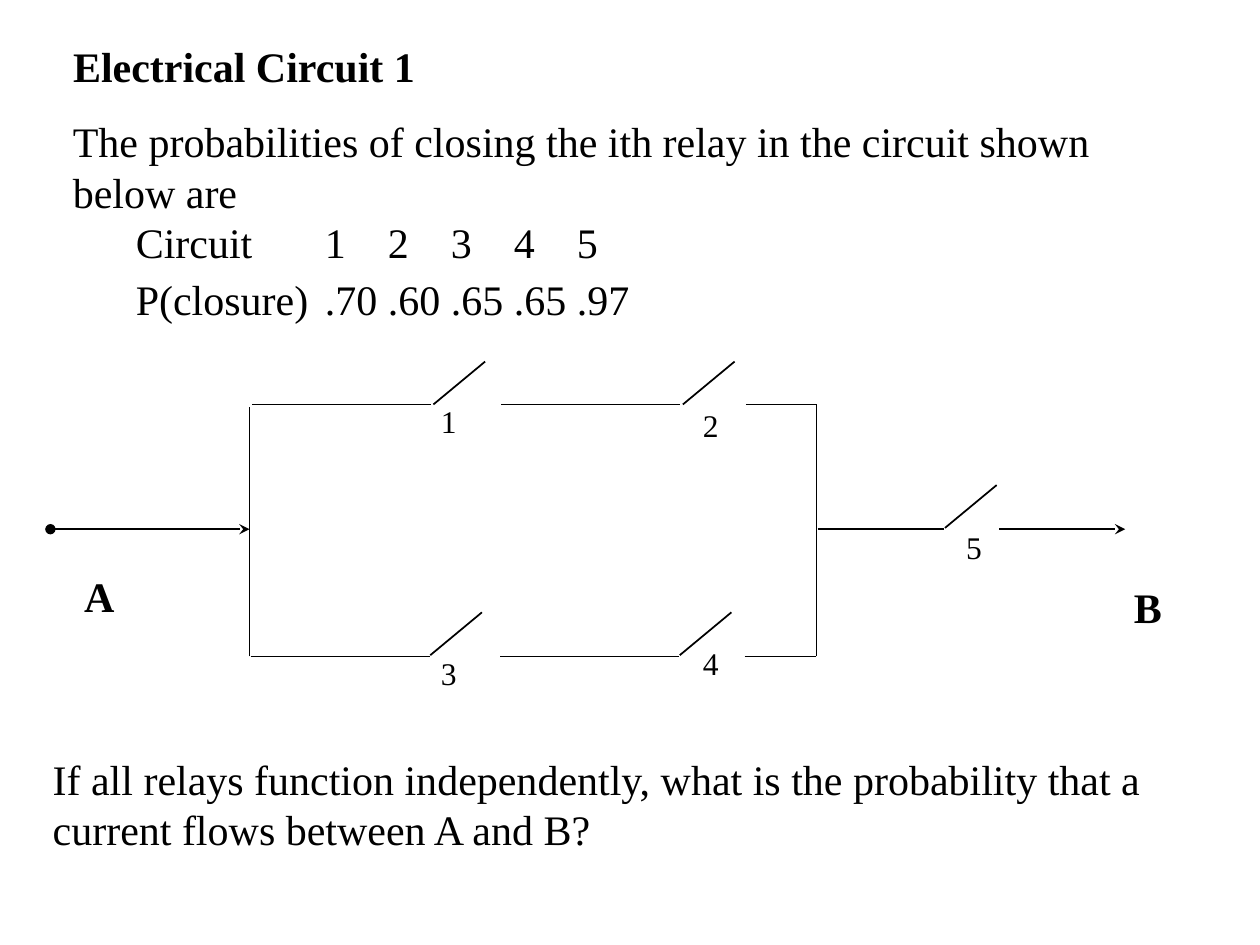
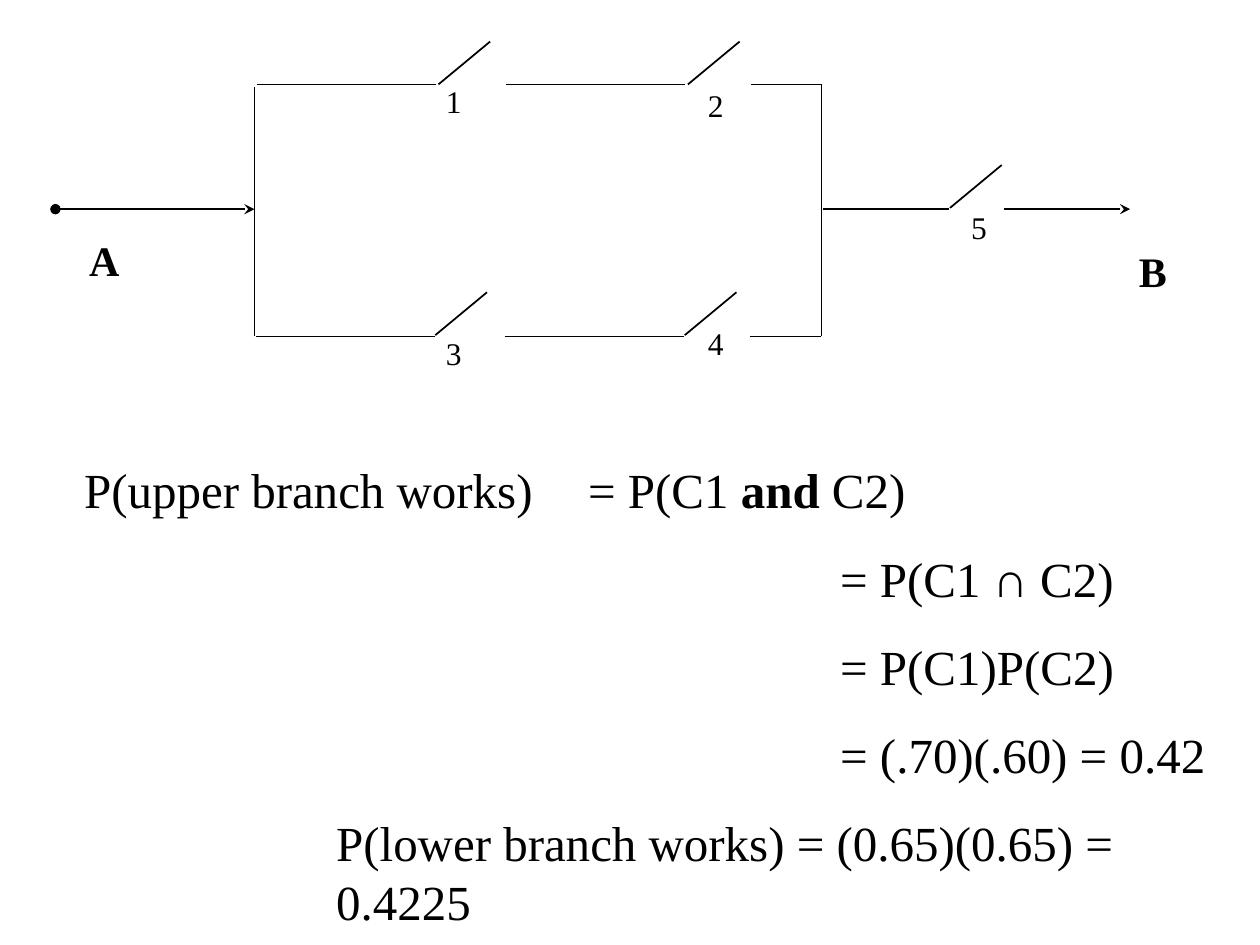
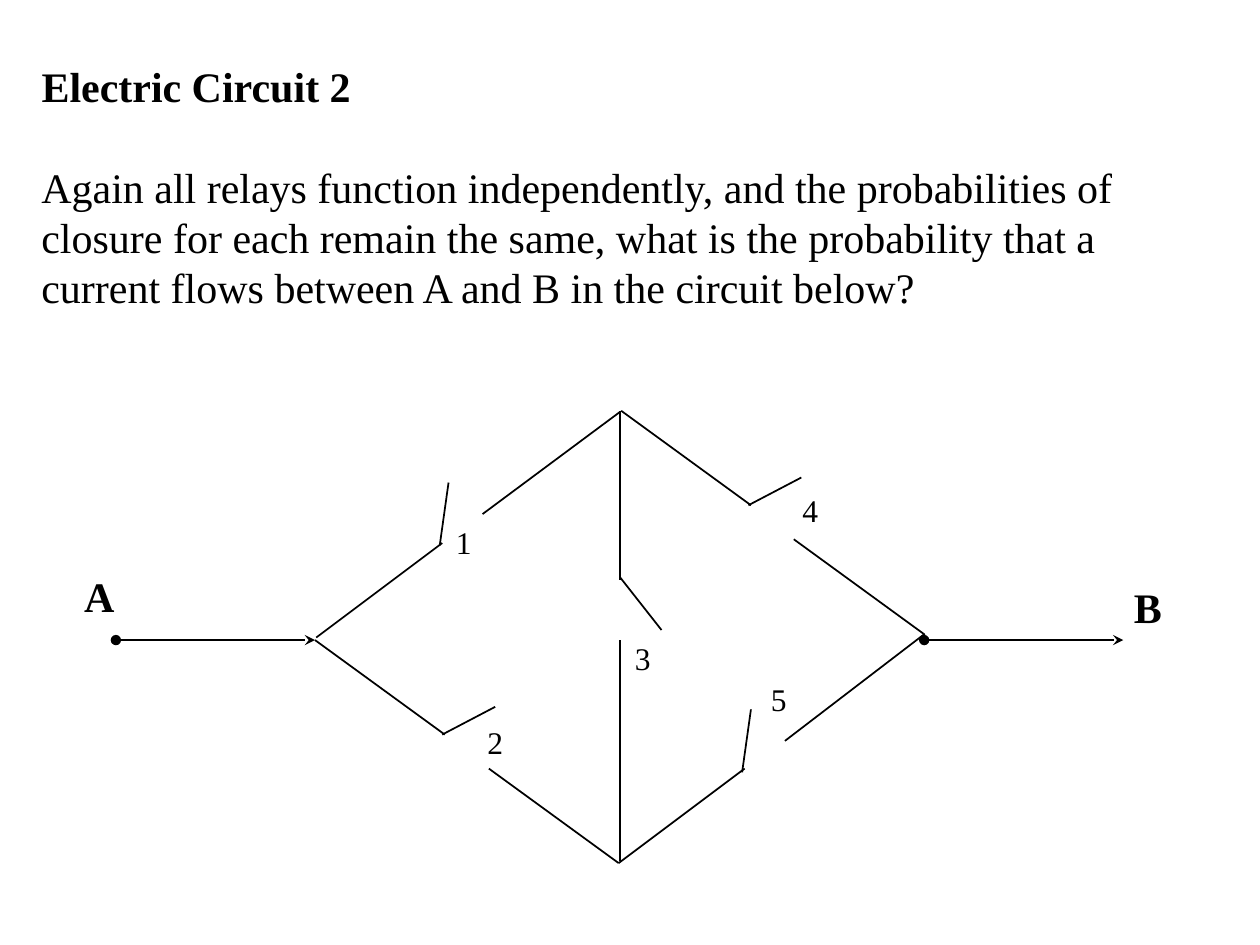
from dataclasses import dataclass
from typing import NamedTuple, Optional

from lxml import etree
from pptx import Presentation
from pptx import util as u
from pptx.dml.color import RGBColor
from pptx.enum import shapes, text
from pptx.oxml.ns import qn

SLIDE_WIDTH, SLIDE_HEIGHT = u.Inches(10), u.Inches(7.5)
COLUMNS, ROWS = 100, 75
TITLE_ONLY, BLANK = 5, 6


@dataclass(frozen=True)
class Theme:
    ink: RGBColor = RGBColor(0, 0, 0)
    paper: RGBColor = RGBColor(255, 255, 255)
    font: str = "Times New Roman"
    symbol_font: str = "Arial"
    body: int = 24
    formula: int = 28
    relay: int = 18
    line: int = 1


THEME = Theme()


class Point(NamedTuple):
    column: float
    row: float

    def shifted(self, step: "Point") -> "Point":
        return Point(self.column + step.column, self.row + step.row)


class Box(NamedTuple):
    column: float
    row: float
    columns: float
    rows: float


class Span(NamedTuple):
    text: str
    bold: bool = False
    font: str = THEME.font


class Line(NamedTuple):
    spans: tuple[Span, ...]
    space_before: float = 0
    indent: float = 0


@dataclass(frozen=True)
class Wire:
    start: Point
    end: Point
    head: Optional[str] = None
    tail: Optional[str] = None


@dataclass(frozen=True)
class Relay:
    name: str
    start: Point
    hinge: Point
    blade_start: Point
    blade: Point
    label: Point


@dataclass(frozen=True)
class Circuit:
    wires: tuple[Wire, ...]
    relays: tuple[Relay, ...]


def across(columns: float) -> int:
    return round(SLIDE_WIDTH * columns / COLUMNS)


def down(rows: float) -> int:
    return round(SLIDE_HEIGHT * rows / ROWS)


def place(shape, box: Box) -> None:
    shape.left, shape.top = across(box.column), down(box.row)
    shape.width, shape.height = across(box.columns), down(box.rows)


def set_indent_and_tabs(paragraph, indent: float) -> None:
    properties = paragraph._p.get_or_add_pPr()
    properties.set("marL", str(across(indent)))
    properties.set("indent", "0")
    tabs = etree.SubElement(properties, qn("a:tabLst"))
    for inch in range(1, 8):
        etree.SubElement(tabs, qn("a:tab"), pos=str(u.Inches(inch)), algn="l")


def format_font(font, size: int, bold: bool, name: str = THEME.font) -> None:
    font.name, font.bold, font.size = name, bold, u.Pt(size)
    font.color.rgb = THEME.ink


def add_text(slide, box: Box, lines: list[Line], size: int, wrap: bool = True):
    shape = slide.shapes.add_textbox(0, 0, 0, 0)
    place(shape, box)
    frame = shape.text_frame
    frame.word_wrap = wrap
    frame.auto_size = text.MSO_AUTO_SIZE.SHAPE_TO_FIT_TEXT
    for index, line in enumerate(lines):
        paragraph = frame.add_paragraph() if index else frame.paragraphs[0]
        set_indent_and_tabs(paragraph, line.indent)
        if line.space_before:
            paragraph.space_before = u.Pt(line.space_before)
        for span in line.spans:
            run = paragraph.add_run()
            run.text = span.text
            format_font(run.font, size, span.bold, span.font)
    return shape


def add_title(slide, title: str, box: Box) -> None:
    shape = slide.shapes.title
    place(shape, box)
    frame = shape.text_frame
    frame.text = title
    frame.word_wrap = True
    frame.auto_size = text.MSO_AUTO_SIZE.NONE
    frame.vertical_anchor = text.MSO_ANCHOR.TOP
    paragraph = frame.paragraphs[0]
    paragraph.alignment = text.PP_ALIGN.LEFT
    format_font(paragraph.runs[0].font, THEME.body, True)


def add_wire(slide, wire: Wire, origin: Point) -> None:
    start, end = wire.start.shifted(origin), wire.end.shifted(origin)
    connector = slide.shapes.add_connector(
        shapes.MSO_CONNECTOR.STRAIGHT,
        across(start.column), down(start.row), across(end.column), down(end.row),
    )
    connector.line.color.rgb = THEME.ink
    connector.line.width = u.Pt(THEME.line)
    outline = connector.line._get_or_add_ln()
    for tag, kind in (("a:headEnd", wire.head), ("a:tailEnd", wire.tail)):
        if kind:
            etree.SubElement(outline, qn(tag), type=kind)
    etree.SubElement(connector._element.spPr, qn("a:effectLst"))


def add_relay(slide, relay: Relay, origin: Point) -> None:
    tip = relay.blade_start.shifted(relay.blade)
    add_wire(slide, Wire(relay.start, relay.hinge), origin)
    add_wire(slide, Wire(relay.blade_start, tip), origin)
    box = Box(*relay.label.shifted(origin), 3.3, 4)
    add_text(slide, box, [Line((Span(relay.name),))], THEME.relay, wrap=False)


def add_circuit(slide, circuit: Circuit, origin: Point = Point(0, 0)) -> None:
    for wire in circuit.wires:
        add_wire(slide, wire, origin)
    for relay in circuit.relays:
        add_relay(slide, relay, origin)


def add_terminals(slide, origin: Point = Point(0, 0)) -> None:
    for name, corner, columns in (("A", Point(5.7, 44.8), 4.4), ("B", Point(89, 45.7), 4.2)):
        box = Box(*corner.shifted(origin), columns, 5)
        add_text(slide, box, [Line((Span(name, True),))], THEME.body, wrap=False)


def add_slide(presentation, layout: int):
    slide = presentation.slides.add_slide(presentation.slide_layouts[layout])
    slide.background.fill.solid()
    slide.background.fill.fore_color.rgb = THEME.paper
    return slide


def parallel_circuit() -> Circuit:
    upper, lower, middle, left, right = 32.1, 52.1, 42, 19.8, 64.8
    blade = Point(4.1, -3.4)

    def branch_relay(name: str, start: float, row: float, gap: Point, label: Point) -> Relay:
        hinge = Point(start + 14.2, row)
        return Relay(name, Point(start, row), hinge, hinge.shifted(gap), blade, label)

    upper_gap, lower_gap = Point(0.2, 0), Point(0.05, -0.1)
    relays = (
        branch_relay("1", 20, upper, upper_gap, Point(34, 31.4)),
        branch_relay("2", 39.8, upper, upper_gap, Point(54.8, 31.7)),
        branch_relay("3", 19.9, lower, lower_gap, Point(34, 51.4)),
        branch_relay("4", 39.7, lower, lower_gap, Point(54.8, 50.6)),
        Relay("5", Point(64.9, middle), Point(74.9, middle), Point(75, 41.9),
              blade, Point(75.7, 41.4)),
    )
    wires = (
        Wire(Point(4, middle), Point(left, middle), "oval", "stealth"),
        Wire(Point(right, lower), Point(right, upper)),
        Wire(Point(left, lower), Point(left, upper + 0.2)),
        Wire(Point(59.2, upper), Point(right, upper)),
        Wire(Point(59.1, lower), Point(right, lower)),
        Wire(Point(79.3, middle), Point(89.3, middle), tail="stealth"),
    )
    return Circuit(wires, relays)


def bridge_circuit() -> Circuit:
    middle, center = 50.8, 49.2
    steep, shallow = Point(0.7, -5), Point(4.2, -2.2)
    relays = (
        Relay("1", Point(25.1, 50.6), Point(35.1, 43.1), Point(34.9, 43.3),
              steep, Point(35.2, 41)),
        Relay("2", Point(25, middle), Point(35.3, 58.3), Point(35.1, 58.3),
              shallow, Point(37.7, 56.9)),
        Relay("3", Point(center, 32.6), Point(center, 46), Point(center, 45.8),
              Point(3.3, 4.2), Point(49.4, 50.2)),
        Relay("4", Point(49.3, 32.6), Point(59.6, 40.1), Point(59.4, 40.1),
              shallow, Point(62.7, 38.5)),
        Relay("5", Point(49.1, 68.5), Point(59.1, 61), Point(58.9, 61.3),
              steep, Point(60.2, 53.5)),
    )
    leads = tuple(
        Wire(Point(column, middle), Point(column + 15.8, middle), "oval", "stealth")
        for column in (9.2, 73.35)
    )
    contacts = (
        Wire(Point(38.3, 40.8), Point(center, 32.7)),
        Wire(Point(38.8, 61), Point(49.1, 68.5)),
        Wire(Point(center, middle), Point(center, 68.3)),
        Wire(Point(63, 42.8), Point(73.3, 50.3)),
        Wire(Point(62.3, 58.8), Point(73.4, 50.3)),
    )
    return Circuit(leads + contacts, relays)


def build_question_slide(presentation) -> None:
    slide = add_slide(presentation, TITLE_ONLY)
    add_title(slide, "Electrical Circuit 1", Box(4.8, 2.7, 91, 5))
    add_text(slide, Box(4.8, 8.7, 91, 17.7), [
        Line((Span("The probabilities of closing the ith relay in the circuit shown below are"),)),
        Line((Span("\tCircuit\t\t1\t2\t3\t4\t5"),)),
        Line((Span("\tP(closure)\t.70\t.60\t.65\t.65\t.97"),), space_before=4),
    ], THEME.body)
    add_text(slide, Box(3.2, 59.3, 94.3, 9), [
        Line((Span("If all relays function independently, what is the probability "
                   "that a current flows between A and B?"),)),
    ], THEME.body)
    add_circuit(slide, parallel_circuit())
    add_terminals(slide)


def build_solution_slide(presentation) -> None:
    slide = add_slide(presentation, BLANK)
    gap, result_indent, lower_indent = 16.8, 60, 20
    add_text(slide, Box(5.7, 36, 91, 33.7), [
        Line((Span("P(upper branch works)\t= P(C1 "), Span("and", True), Span(" C2)"))),
        Line((Span("= P(C1 "), Span("∩", font=THEME.symbol_font), Span(" C2)")),
             gap, result_indent),
        Line((Span("= P(C1)P(C2)"),), gap, result_indent),
        Line((Span("= (.70)(.60) = 0.42"),), gap, result_indent),
        Line((Span("P(lower branch works) = (0.65)(0.65) = 0.4225"),), gap, lower_indent),
    ], THEME.formula)
    add_circuit(slide, parallel_circuit(), Point(0.4, -25.4))
    add_terminals(slide, Point(0.4, -26.7))


def build_bridge_slide(presentation) -> None:
    slide = add_slide(presentation, TITLE_ONLY)
    add_title(slide, "Electric Circuit 2", Box(2.3, 4.3, 94.3, 5))
    add_text(slide, Box(2.3, 12.3, 94.3, 13), [
        Line((Span("Again all relays function independently, and the probabilities of "
                   "closure for each remain the same, what is the probability that a "
                   "current flows between A and B in the circuit below?"),)),
    ], THEME.body)
    add_circuit(slide, bridge_circuit())
    add_terminals(slide)


def main() -> None:
    presentation = Presentation()
    presentation.slide_width, presentation.slide_height = SLIDE_WIDTH, SLIDE_HEIGHT
    build_question_slide(presentation)
    build_solution_slide(presentation)
    build_bridge_slide(presentation)
    presentation.save("out.pptx")


if __name__ == "__main__":
    main()
